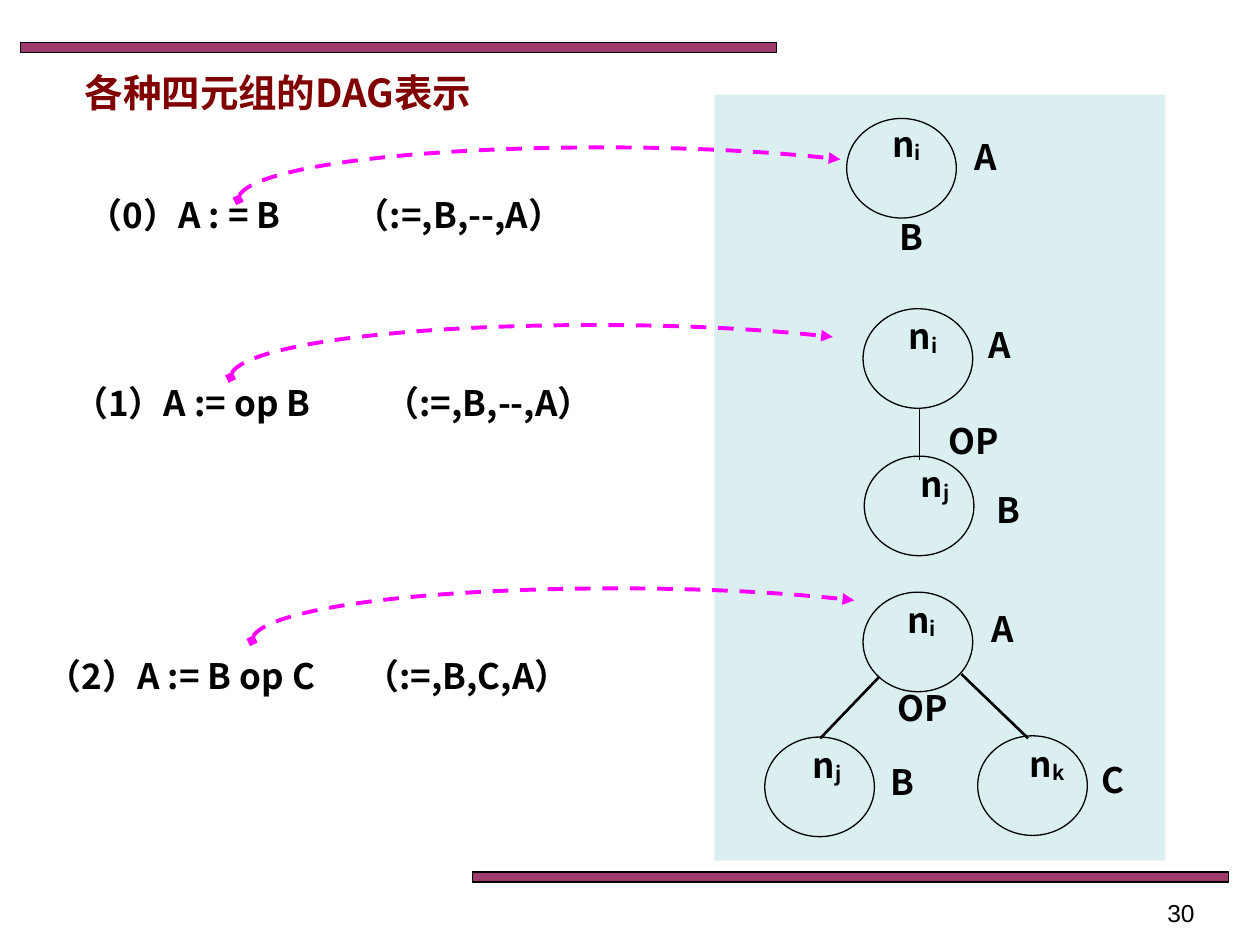
from lxml import etree
from pptx import Presentation
from pptx.dml.color import RGBColor
from pptx.enum.dml import MSO_LINE
from pptx.enum.shapes import MSO_CONNECTOR, MSO_SHAPE
from pptx.enum.text import MSO_ANCHOR, MSO_AUTO_SIZE, PP_ALIGN
from pptx.oxml.ns import qn
from pptx.util import Inches, Pt

RECT, OVAL = MSO_SHAPE.RECTANGLE, MSO_SHAPE.OVAL
STRAIGHT, DASH = MSO_CONNECTOR.STRAIGHT, MSO_LINE.DASH
LEFT, MID, RIGHT = PP_ALIGN.LEFT, PP_ALIGN.CENTER, PP_ALIGN.RIGHT
TOP, GROW = MSO_ANCHOR.TOP, MSO_AUTO_SIZE.SHAPE_TO_FIT_TEXT

BLACK = RGBColor(0x00, 0x00, 0x00)
MAROON = RGBColor(0x80, 0x00, 0x00)
PLUM = RGBColor(0x99, 0x33, 0x66)
AQUA = RGBColor(0xBB, 0xE0, 0xE3)
PINK = RGBColor(0xFF, 0x00, 0xFF)
SANS = "Noto Sans CJK SC"

# Grid of 100 columns by 75 rows, each cell square
WIDTH, HEIGHT = Inches(10), Inches(7.5)
COL, ROW = WIDTH / 100, HEIGHT / 75
NODE_W, NODE_H = 8.7, 7.9
TEXT_H = 4.4

# Formula rows: left, top, width, inset, tab stop, expression, quadruple
RULES = [
    (1.2, 14.9, 50.4, 5.75, 21.2, "（0）A : = B", "（:=,B,--,A）"),
    (3.7, 29.8, 46.7, 2.1, 24.7, "（1）A := op B", "（:=,B,--,A）"),
    (1.9, 51.45, 46.4, 1.8, 25.2, "（2）A := B op C", "（:=,B,C,A）"),
]
# Nodes: left, top, subscript; left, top and width of the name
NODES = [
    (67.2, 9.4, "i", 68.8, 9.2, 6.3),
    (68.5, 24.5, "i", 70.1, 24.5, 6.3),
    (68.6, 36.2, "j", 70.2, 36.2, 8),
    (68.5, 47, "i", 70, 47, 6.3),
    (77.6, 58.4, "k", 78.8, 58.4, 8.6),
    (60.7, 58.5, "j", 62.1, 58.5, 7.1),
]
# Labels: left, top, width, text
LABELS = [
    (69.6, 16.6, 5.5, "B"), (75.5, 10.3, 5.5, "A"), (76.6, 25.2, 5.5, "A"),
    (73.6, 32.8, 7.4, "OP"), (77.5, 38.3, 5, "B"), (76.8, 47.7, 5.5, "A"),
    (69.5, 54, 7.4, "OP"), (68.9, 59.9, 5.5, "B"), (85.6, 59.7, 5.5, "C"),
]
# Edges: start, end, weight
EDGES = [
    (73, 32.4, 73, 36.5, 0.75),
    (69.8, 53.7, 65.1, 58.6, 1.5),
    (81.6, 58.6, 76.3, 53.5, 1.5),
]
# Left and top of each dashed arc, and its curves within that corner
ARCS = [(18.9, 11.7), (18.3, 25.8), (20, 46.7)]
START = (0, 4.15)
CURVES = [
    [(0, 1.83), (13, 0), (29, 0)],
    [(35.9, 0), (42.5, 0.35), (47.8, 0.95)],
]


def grid(x, y, *size):
    """Turn columns and rows into lengths."""
    cells = (x, y) + size
    return [round(n * (ROW if k % 2 else COL)) for k, n in enumerate(cells)]


def style(para, size, color=BLACK, font=SANS, bold=True, align=MID):
    para.alignment = align
    for run in para.runs:
        run.font.size, run.font.bold = Pt(size), bold
        run.font.name, run.font.color.rgb = font, color
        east = etree.SubElement(run._r.get_or_add_rPr(), qn("a:ea"))
        east.set("typeface", font)


def add_text(slide, box, text, size=20, inset=1, **look):
    frame = slide.shapes.add_textbox(*grid(*box)).text_frame
    frame.word_wrap, frame.auto_size = True, GROW
    frame.margin_left = round(inset * COL)
    para = frame.paragraphs[0]
    para.text = text
    style(para, size, **look)
    return para


def add_title(slide, text):
    title = slide.shapes.title
    title.left, title.top, title.width, title.height = grid(0.8, 5, 42.5, 4.7)
    frame = title.text_frame
    frame.text = text
    frame.vertical_anchor, frame.auto_size = TOP, GROW
    style(frame.paragraphs[0], 22, MAROON)


def add_block(slide, box, color, alpha, lined):
    block = slide.shapes.add_shape(RECT, *grid(*box))
    block.shadow.inherit = False
    block.fill.solid()
    block.fill.fore_color.rgb = color
    tint = block._element.spPr.find(".//" + qn("a:srgbClr"))
    etree.SubElement(tint, qn("a:alpha")).set("val", str(alpha * 1000))
    if lined:
        block.line.color.rgb, block.line.width = BLACK, Pt(0.75)
    else:
        block.line.fill.background()


def add_rule(slide, left, top, width, inset, stop, rule, quad):
    box = (left, top, width, TEXT_H)
    para = add_text(slide, box, rule + "\t" + quad, inset=inset, align=LEFT)
    tabs = etree.SubElement(para._p.get_or_add_pPr(), qn("a:tabLst"))
    etree.SubElement(tabs, qn("a:tab"), pos=str(round(stop * COL)), algn="l")


def add_node(slide, x, y, sub, left, top, width):
    ring = slide.shapes.add_shape(OVAL, *grid(x, y, NODE_W, NODE_H))
    ring.shadow.inherit = False
    ring.fill.background()
    ring.line.color.rgb, ring.line.width = BLACK, Pt(0.75)
    para = add_text(slide, (left, top, width, TEXT_H), "n")
    para.add_run().text = sub
    style(para, 20)
    para.runs[1]._r.get_or_add_rPr().set("baseline", "-10000")


def add_edge(slide, x1, y1, x2, y2, weight):
    edge = slide.shapes.add_connector(STRAIGHT, *grid(x1, y1, x2, y2))
    edge.line.color.rgb, edge.line.width = BLACK, Pt(weight)
    etree.SubElement(edge._element.spPr, qn("a:effectLst"))


def add_arc(slide, left, top):
    dots = [START] + [curve[-1] for curve in CURVES]
    dots = [grid(left + x, top + y) for x, y in dots]
    pen = slide.shapes.build_freeform(*dots[0])
    pen.add_line_segments(dots[1:], close=False)
    arc = pen.convert_to_shape()
    arc.shadow.inherit = False
    arc.fill.background()
    arc.line.color.rgb, arc.line.width = PINK, Pt(2.25)
    arc.line.dash_style = DASH

    # Bend each straight segment
    shape = arc._element.spPr
    for seg, curve in zip(shape.findall(".//" + qn("a:lnTo")), CURVES):
        bend = etree.Element(qn("a:cubicBezTo"))
        for dot in curve:
            x, y = grid(*dot)
            etree.SubElement(bend, qn("a:pt"), x=str(x), y=str(y))
        seg.getparent().replace(seg, bend)

    # Diamond at the formula, arrowhead at the graph
    line = shape.find(qn("a:ln"))
    for end, kind in (("headEnd", "diamond"), ("tailEnd", "triangle")):
        etree.SubElement(line, qn("a:" + end), type=kind)


def main():
    deck = Presentation()
    deck.slide_width, deck.slide_height = WIDTH, HEIGHT
    slide = deck.slides.add_slide(deck.slide_layouts[5])

    # Frame bars, page number and title
    for left, top in ((1.65, 3.35), (37.5, 69.2)):
        add_block(slide, (left, top, 60, 0.8), PLUM, 96, True)
    add_text(slide, (72.5, 70.8, 23.3, 2.7), "30", 14,
             font="Arial", bold=False, align=RIGHT)
    add_title(slide, "各种四元组的DAG表示")

    # Formulas
    for rule in RULES:
        add_rule(slide, *rule)

    # Graphs on their panel
    add_block(slide, (56.7, 7.5, 35.8, 60.8), AQUA, 50, False)
    for node in NODES:
        add_node(slide, *node)
    for edge in EDGES:
        add_edge(slide, *edge)
    for left, top, width, text in LABELS:
        add_text(slide, (left, top, width, TEXT_H), text)

    # Arcs from formulas to graphs
    for arc in ARCS:
        add_arc(slide, *arc)

    deck.save("out.pptx")


if __name__ == "__main__":
    main()
